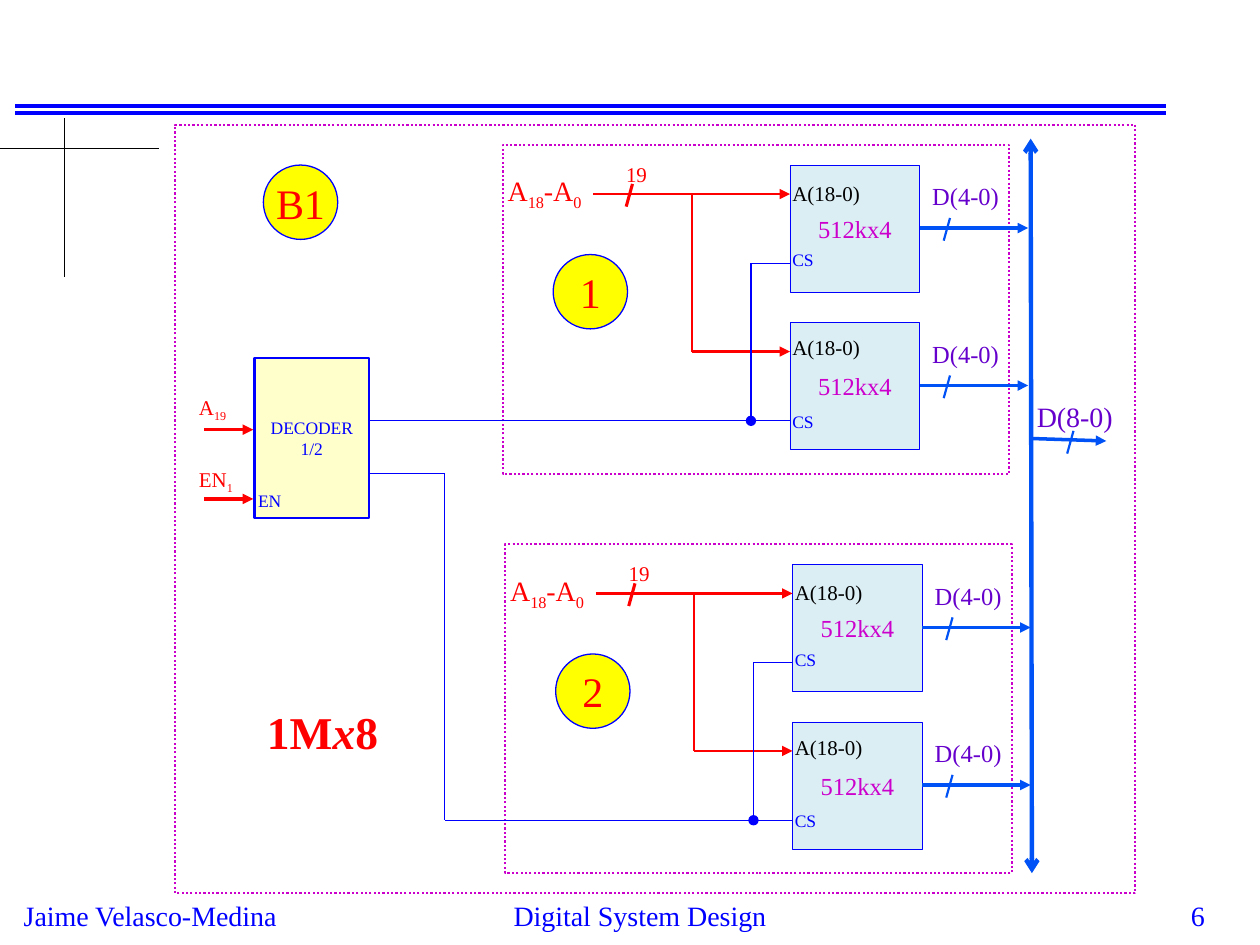
from dataclasses import dataclass

from lxml import etree
from pptx import Presentation, util as u
from pptx.dml import color
from pptx.enum import dml, shapes, text as t
from pptx.oxml import ns

COLUMNS, ROWS = 10, 7.5
FONT = "Times New Roman"
BLUE, RED, BUS = "0000FF", "FF0000", "0052F6"
MAGENTA, PURPLE = "CC00CC", "6600CC"


@dataclass
class Region:
    canvas: object
    left: float = 0
    top: float = 0

    def place(self, x, y):
        return u.Inches(self.left + x), u.Inches(self.top + y)

    def box(self, x, y, w, h):
        return *self.place(x, y), u.Inches(w), u.Inches(h)


def rgb(value):
    return color.RGBColor.from_string(value)


def write(frame, words, size=12, ink=BLUE, bold=False, align="LEFT", wrap=True):
    frame.word_wrap = wrap
    paragraph = frame.paragraphs[0]
    paragraph.alignment = getattr(t.PP_ALIGN, align)
    for i, level in enumerate(words.split("_")):
        for j, piece in enumerate(level.split("*")):
            if not piece:
                continue
            run = paragraph.add_run()
            run.text = piece
            run.font.name, run.font.size = FONT, u.Pt(size)
            run.font.color.rgb = rgb(ink)
            run.font.bold, run.font.italic = bold, j % 2 == 1
            if i % 2:
                run._r.get_or_add_rPr().set("baseline", "-25000")


def label(region, words, x, y, w, h, **style):
    write(region.canvas.add_textbox(*region.box(x, y, w, h)).text_frame, words, **style)


def block(region, kind, x, y, w, h, edge, weight, fill=None, words="", **style):
    outline = region.canvas.add_shape(kind, *region.box(x, y, w, h))
    outline.shadow.inherit = False
    outline.line.color.rgb, outline.line.width = rgb(edge), u.Pt(weight)
    if fill:
        outline.fill.solid()
        outline.fill.fore_color.rgb = rgb(fill)
    else:
        outline.fill.background()
    if words:
        outline.text_frame.vertical_anchor = t.MSO_ANCHOR.MIDDLE
        write(outline.text_frame, words, align="CENTER", **style)
    return outline


def wire(region, start, end, ink=BLUE, weight=0.75, head=None, tail=None):
    link = region.canvas.add_connector(
        shapes.MSO_CONNECTOR.STRAIGHT, *region.place(*start), *region.place(*end))
    link.line.color.rgb, link.line.width = rgb(ink), u.Pt(weight)
    for tag, tip in (("a:headEnd", head), ("a:tailEnd", tail)):
        if tip:
            etree.SubElement(link.line._get_or_add_ln(), ns.qn(tag), type=tip)
    etree.SubElement(link._element.spPr, ns.qn("a:effectLst"))


def dotted_frame(region, w, h):
    frame = block(region, shapes.MSO_SHAPE.RECTANGLE, 0, 0, w, h, MAGENTA, 1.25)
    frame.line.dash_style = dml.MSO_LINE.ROUND_DOT


def badge(region, words, x, y):
    block(region, shapes.MSO_SHAPE.OVAL, x, y, 0.59, 0.59, BLUE, 0.75, "FFFF00",
          words, size=24, ink=RED, wrap=False)


def bus_slash(region, x, y, ink=BUS, weight=1.25):
    wire(region, (x, y + 0.18), (x + 0.05, y), ink, weight)


def memory_chip(region, address_y, select_y):
    block(region, shapes.MSO_SHAPE.RECTANGLE, 0, 0, 1.03, 1.01, BLUE, 0.5, "DBEEF4",
          "512kx4", size=14, ink=MAGENTA)
    label(region, "A(18-0)", -0.08, address_y, 0.78, 0.3, ink="000000")
    label(region, "CS", -0.08, select_y, 0.43, 0.27, size=10)
    wire(region, (1.03, 0.5), (1.89, 0.5), BUS, 2, tail="triangle")
    bus_slash(region, 1.22, 0.42)
    label(region, "D(4-0)", 1.03, 0.08, 0.78, 0.34, size=14, ink=PURPLE)


def memory_bank(region, number):
    dotted_frame(region, 4.02, 2.61)
    for chip_y, address_y, select_y in ((0.16, 0.07, 0.62), (1.41, 0.05, 0.65)):
        memory_chip(Region(region.canvas, region.left + 2.28, region.top + chip_y),
                    address_y, select_y)
    label(region, "A_18_-A_0", -0.06, 0.18, 0.99, 0.41, size=16, ink=RED)
    label(region, "19", 0.88, 0.08, 0.39, 0.5, ink=RED)
    wire(region, (0.72, 0.39), (2.28, 0.39), RED, 1.25, tail="triangle")
    wire(region, (1.5, 0.39), (1.5, 1.64), RED, 1.25)
    wire(region, (1.5, 1.64), (2.28, 1.64), RED, 1.25, tail="triangle")
    bus_slash(region, 0.98, 0.31, RED, 1.75)
    wire(region, (1.97, 0.94), (1.97, 2.19))
    for select_y in (0.94, 2.19):
        wire(region, (1.97, select_y), (2.28, select_y))
    badge(region, number, 0.4, 0.87)


def decoder(region):
    block(region, shapes.MSO_SHAPE.RECTANGLE, 0, 0, 0.91, 1.27, BLUE, 1.25, "FFFFCC",
          "DECODER 1/2", size=10)
    label(region, "EN", -0.07, 1, 0.43, 0.27, size=10)
    for words, label_y, arrow_y in (("A_19_", 0.24, 0.57), ("EN_1_", 0.81, 1.12)):
        label(region, words, -0.54, label_y, 0.52, 0.33, ink=RED)
        wire(region, (-0.4, arrow_y), (-0.01, arrow_y), RED, 2, tail="triangle")
    wire(region, (3.94, 0.5), (0.91, 0.5), head="oval")
    wire(region, (0.91, 0.92), (1.51, 0.92))
    wire(region, (1.51, 0.92), (1.51, 3.67))
    wire(region, (3.96, 3.67), (1.51, 3.67), head="oval")


def data_bus(region):
    wire(region, (0, 0), (0.01, 5.83), BUS, 2.5, "arrow", "arrow")
    wire(region, (0, 2.38), (0.6, 2.4), BUS, 2, tail="triangle")
    bus_slash(region, 0.29, 2.32)
    label(region, "D(8-0)", -0.05, 2.02, 0.89, 0.37, size=16, ink=PURPLE)


def page_furniture(region):
    for rule_y in (0.84, 0.9):
        wire(region, (0.12, rule_y), (9.25, rule_y), weight=2.25)
    wire(region, (0, 1.18), (1.26, 1.18), "000000")
    wire(region, (0.51, 0.94), (0.51, 2.2), "000000")
    for words, x, w, align in (("Jaime Velasco-Medina", 0.09, 2.24, "LEFT"),
                               ("Digital System Design", 3.33, 3.5, "CENTER"),
                               ("6", 7.58, 2.08, "RIGHT")):
        label(region, words, x, 7.08, w, 0.37, size=16, align=align, wrap=align != "LEFT")


def main():
    deck = Presentation()
    deck.slide_width, deck.slide_height = u.Inches(COLUMNS), u.Inches(ROWS)
    canvas = deck.slides.add_slide(deck.slide_layouts[6]).shapes
    page = Region(canvas)
    page_furniture(page)
    dotted_frame(Region(canvas, 1.39, 0.99), 7.62, 6.1)
    memory_bank(Region(canvas, 3.99, 1.15), "1")
    memory_bank(Region(canvas, 4.01, 4.32), "2")
    decoder(Region(canvas, 2.02, 2.84))
    data_bus(Region(canvas, 8.18, 1.1))
    badge(page, "B1", 2.09, 1.31)
    label(page, "1M*x*8", 2.02, 5.54, 1.16, 0.54, size=26, ink=RED, bold=True)
    deck.save("out.pptx")


if __name__ == "__main__":
    main()
